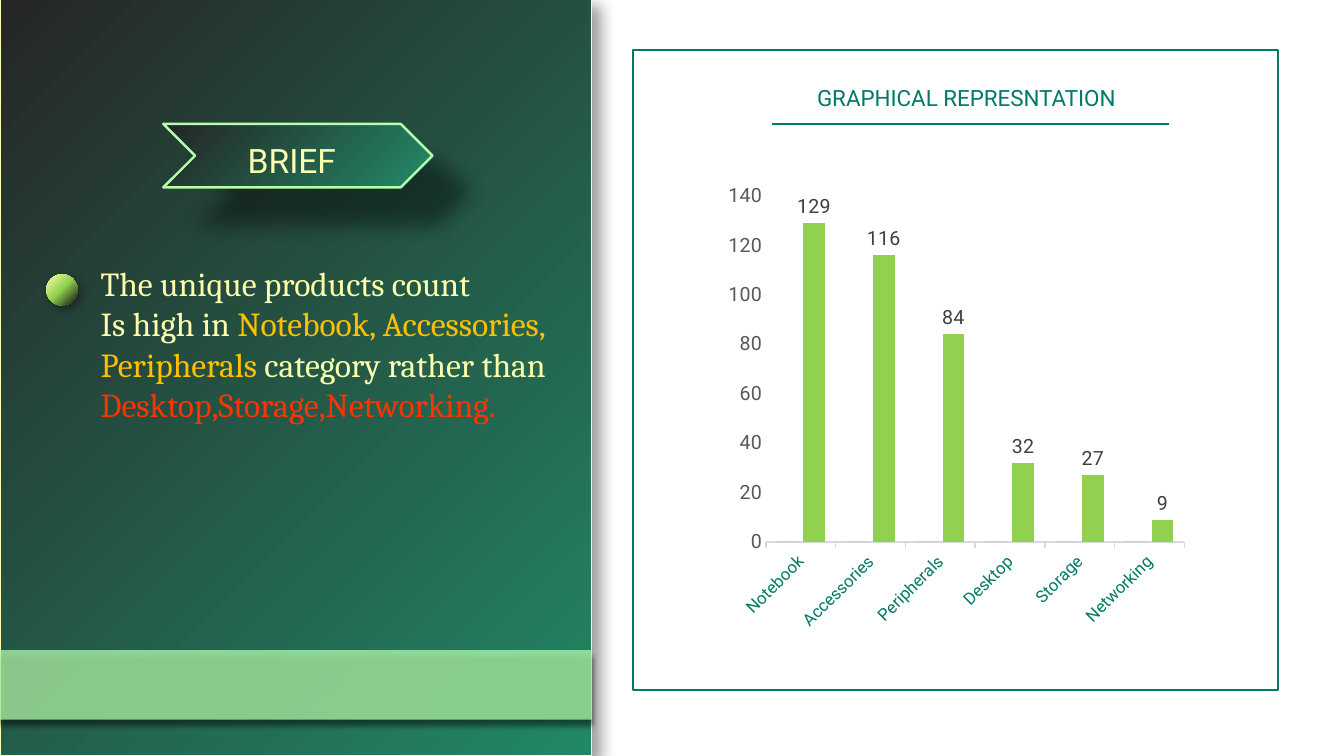
from pptx import Presentation
from pptx.chart.data import CategoryChartData
from pptx.dml.color import RGBColor
from pptx.enum import chart as ch, shapes, text
from pptx.oxml import parse_xml
from pptx.oxml.ns import nsdecls, qn
from pptx.util import Inches, Pt

NS = nsdecls("a")
GREEN, CREAM, MINT, LIME = "007965", "FDFFAE", "B3FFAE", "92D050"
KINDS = shapes.MSO_SHAPE


def rgb(code):
    return RGBColor.from_string(code)


def shade(alpha, blur, dist, angle):
    return parse_xml(
        f'<a:outerShdw {NS} blurRad="{Pt(blur)}" dist="{Pt(dist)}" '
        f'dir="{angle * 60000}" algn="tl" rotWithShape="0">'
        f'<a:srgbClr val="000000"><a:alpha val="{alpha * 1000}"/>'
        '</a:srgbClr></a:outerShdw>')


class Deck:
    sans, serif = "Roboto", "Cambria"

    def __init__(self):
        self.prs = Presentation()
        self.prs.slide_width = Inches(13.33)
        self.prs.slide_height = Inches(7.5)
        self.slide = self.prs.slides.add_slide(self.prs.slide_layouts[6])

    def shape(self, kind, box, fill=None, alpha=None, line=None, width=1,
              shadow=None):
        item = self.slide.shapes.add_shape(kind, *map(Inches, box))
        item.shadow.inherit = False
        props = item._element.spPr
        if isinstance(fill, str):
            item.fill.solid()
            item.fill.fore_color.rgb = rgb(fill)
            if alpha:
                color = props.find(qn("a:solidFill"))[0]
                color.append(parse_xml(
                    f'<a:alpha {NS} val="{alpha * 1000}"/>'))
        else:
            item.fill.background()
            if fill:
                stops = "".join(
                    f'<a:gs pos="{pos * 1000}"><a:srgbClr val="{code}"/></a:gs>'
                    for pos, code in fill)
                props.replace(props.find(qn("a:noFill")), parse_xml(
                    f'<a:gradFill {NS} rotWithShape="1"><a:gsLst>{stops}'
                    '</a:gsLst><a:lin ang="2700000" scaled="0"/></a:gradFill>'))
        if line:
            item.line.color.rgb = rgb(line)
            item.line.width = Pt(width)
        else:
            item.line.fill.background()
        if shadow:
            props.find(qn("a:effectLst")).append(shade(*shadow))

    def text(self, box, runs, size, font, center=False, shadow=None):
        frame = self.slide.shapes.add_textbox(*map(Inches, box)).text_frame
        frame.word_wrap = True
        for index, line in enumerate(runs):
            para = frame.add_paragraph() if index else frame.paragraphs[0]
            if center:
                para.alignment = text.PP_ALIGN.CENTER
                para.line_spacing = 0.9
                para.space_before = Pt(10)
            for words, color in line:
                if words == "\n":
                    para.add_line_break()
                    continue
                run = para.add_run()
                run.text = words
                self.style(run.font, size, color, font)
                if shadow:
                    glow = parse_xml(f'<a:effectLst {NS}/>')
                    glow.append(shade(*shadow))
                    run.font._element.find(qn("a:solidFill")).addnext(glow)

    def style(self, font, size, color, name=None):
        font.size = Pt(size)
        font.name = name or self.sans
        font.color.rgb = rgb(color)

    def line(self, start, end, color, width):
        item = self.slide.shapes.add_connector(
            shapes.MSO_CONNECTOR.STRAIGHT, *map(Inches, start + end))
        item.line.color.rgb = rgb(color)
        item.line.width = Pt(width)
        item._element.spPr.append(parse_xml(f'<a:effectLst {NS}/>'))

    def chart(self, box, names, series):
        data = CategoryChartData()
        data.categories = names
        for name, values, color in series:
            data.add_series(name, values)
        chart = self.slide.shapes.add_chart(
            ch.XL_CHART_TYPE.COLUMN_CLUSTERED, *map(Inches, box), data).chart
        chart.has_legend = chart.has_title = False
        self.style(chart.font, 10, "000000", "Calibri")
        plot = chart.plots[0]
        plot.gap_width, plot.overlap = 100, -21
        plot.vary_by_categories = False
        for item, (name, values, color) in zip(plot.series, series):
            item.format.fill.solid()
            item.format.fill.fore_color.rgb = rgb(color)
        labels = plot.series[-1].data_labels
        labels.show_value = True
        labels.position = ch.XL_LABEL_POSITION.OUTSIDE_END
        self.style(labels.font, 14, "404040")
        cat, val = chart.category_axis, chart.value_axis
        self.style(cat.tick_labels.font, 12, GREEN)
        cat.tick_labels.font._element.getparent().getparent().getparent().find(
            qn("a:bodyPr")).set("rot", "-2700000")
        cat.format.line.color.rgb = rgb("D9D9D9")
        cat.format.line.width = Pt(1)
        self.style(val.tick_labels.font, 14, "595959")
        val.has_major_gridlines = False
        val.major_tick_mark = ch.XL_TICK_MARK.NONE
        val.format.line.fill.background()
        val.minimum_scale, val.maximum_scale, val.major_unit = 0, 140, 20


def main():
    deck = Deck()
    deck.shape(KINDS.RECTANGLE, (0, -0.02, 5.87, 7.52),
               [(0, "262626"), (100, "228765")], line=CREAM,
               shadow=(40, 12, 8, 45))
    deck.shape(KINDS.CHEVRON, (1.62, 1.23, 2.67, 0.63),
               [(0, "242424"), (96, "228765")], line=MINT, width=1.75,
               shadow=(40, 15, 37, 45))
    deck.text((0.79, 1.38, 4.21, 0.77), [[("BRIEF", CREAM)]], 24, deck.sans,
              center=True, shadow=(60, 4, 3, 45))
    deck.shape(KINDS.RECTANGLE, (0, 6.45, 5.87, 0.69), MINT, alpha=74,
               shadow=(66, 4, 4, 90))
    deck.text((0.9, 2.56, 5.4, 1.71), [
        [("The unique products count", CREAM)],
        [("Is high in ", CREAM), ("Notebook, Accessories, ", "FFC000"),
         ("\n", None), ("Peripherals ", "FFC000"),
         ("category rather than ", CREAM),
         ("Desktop,Storage,Networking.", "FF3300")],
    ], 24, deck.serif)
    deck.shape(KINDS.RECTANGLE, (6.28, 0.5, 6.4, 6.35), line=GREEN, width=1.5)
    deck.shape(KINDS.FLOWCHART_CONNECTOR, (0.46, 2.72, 0.31, 0.31),
               [(0, CREAM), (50, LIME), (100, "0D0D0D")],
               shadow=(40, 7, 3, 45))
    deck.chart((7.13, 1.73, 4.71, 4.62),
               ["Notebook", "Accessories", "Peripherals", "Desktop",
                "Storage", "Networking"],
               [("Series 1", [0] * 6, "3E70CA"),
                ("Series 2", [129, 116, 84, 32, 27, 9], LIME)])
    deck.text((7.48, 0.82, 4.21, 0.77), [[("GRAPHICAL REPRESNTATION", GREEN)]],
              16, deck.sans, center=True)
    deck.line((7.66, 1.23), (11.59, 1.23), GREEN, 1.5)
    deck.prs.save("out.pptx")


if __name__ == "__main__":
    main()
